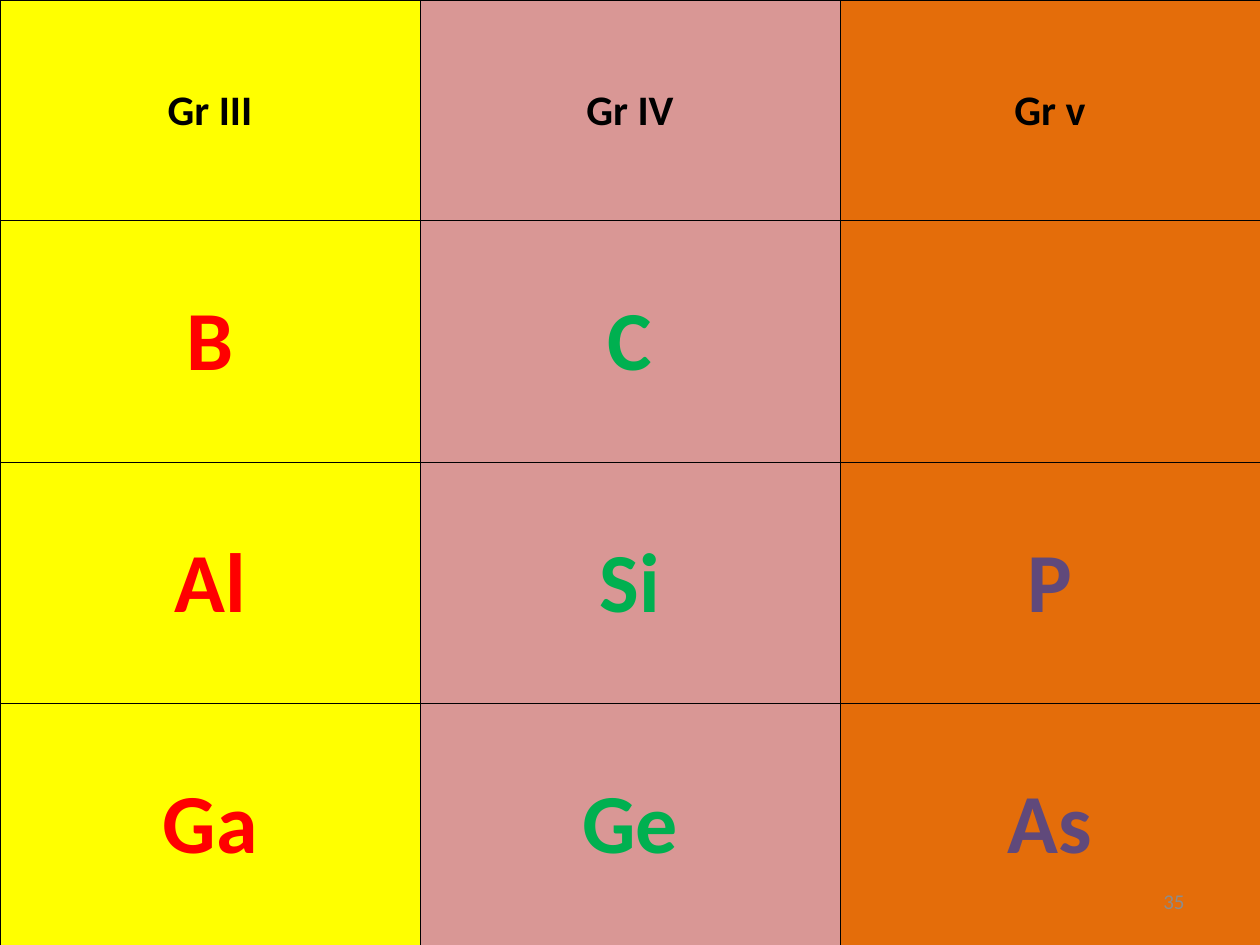
from lxml.etree import SubElement
from pptx import Presentation
from pptx.dml.color import RGBColor
from pptx.enum.text import MSO_ANCHOR as Anchor, PP_ALIGN as Align
from pptx.oxml.ns import qn
from pptx.util import Inches, Pt

# Content: heading, elements, fill and text colour of each group
GROUPS = [
    ("Gr III", ["B", "Al", "Ga"], "FFFF00", "FF0000"),
    ("Gr IV", ["C", "Si", "Ge"], "D99795", "00B050"),
    ("Gr v", ["", "P", "As"], "E46D0A", "60497B"),
]
PAGE = "35"
WIDTH, HEIGHT, HEAD = 10, 7.5, 1.75
INSETS = {"margin_left": 0.01, "margin_right": 0.01,
          "margin_top": 0.01, "margin_bottom": 0}


def color(code):
    return RGBColor.from_string(code)


def write(frame, text, size, code, bold, align):
    par = frame.paragraphs[0]
    par.alignment = align
    run = par.add_run()
    run.text = text
    run.font.color.rgb = color(code)
    for name, value in {"name": "Calibri", "size": Pt(size), "bold": bold}.items():
        setattr(run.font, name, value)


def style(cell, code):
    cell.vertical_anchor = Anchor.MIDDLE
    for name, value in INSETS.items():
        setattr(cell, name, Inches(value))
    # Borders must come before the fill in the cell properties
    props = cell._tc.get_or_add_tcPr()
    for side in ("lnL", "lnR", "lnT", "lnB"):
        line = SubElement(props, qn(f"a:{side}"), w=str(Pt(0.5)))
        fill = SubElement(line, qn("a:solidFill"))
        SubElement(fill, qn("a:srgbClr"), val="000000")
    cell.fill.solid()
    cell.fill.fore_color.rgb = color(code)


deck = Presentation()
deck.slide_width, deck.slide_height = Inches(WIDTH), Inches(HEIGHT)
slide = deck.slides.add_slide(deck.slide_layouts[6])

# Table of groups
count = len(GROUPS[0][1])
table = slide.shapes.add_table(count + 1, len(GROUPS), 0, 0,
                               Inches(WIDTH), Inches(HEIGHT)).table
table.first_row = table.horz_banding = False
for col in table.columns:
    col.width = Inches(WIDTH / len(GROUPS))
for i, row in enumerate(table.rows):
    row.height = Inches((HEIGHT - HEAD) / count if i else HEAD)

for x, (head, items, back, ink) in enumerate(GROUPS):
    for y, text in enumerate([head, *items]):
        cell = table.cell(y, x)
        style(cell, back)
        if text:
            size, code = (48, ink) if y else (24, "000000")
            write(cell.text_frame, text, size, code, True, Align.CENTER)

# Page number
box = slide.shapes.add_textbox(Inches(7.17), Inches(6.95), Inches(2.33), Inches(0.4))
frame = box.text_frame
frame.word_wrap = True
frame.vertical_anchor = Anchor.MIDDLE
write(frame, PAGE, 12, "8C8C8C", False, Align.RIGHT)

deck.save("out.pptx")
